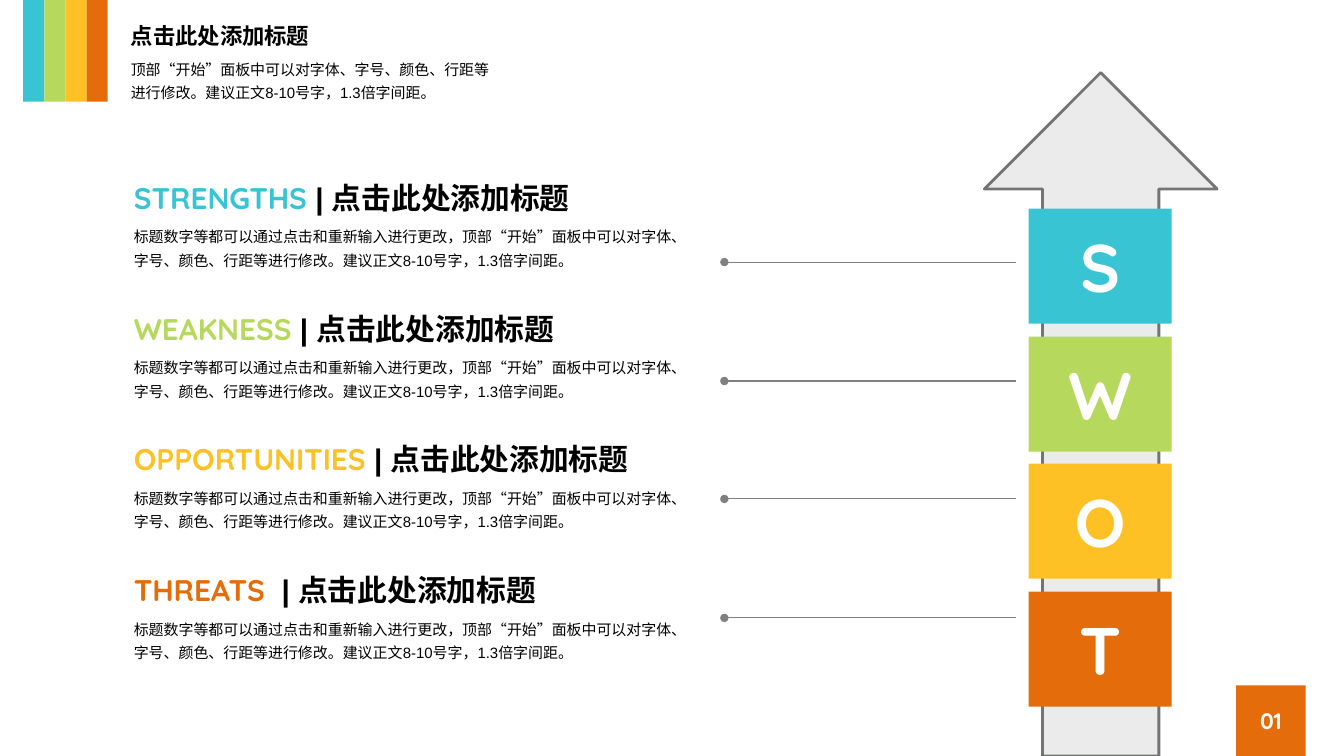
"""Build a SWOT slide with four described topics beside an upward arrow."""
from dataclasses import dataclass

from pptx import Presentation, dml, util as u
from pptx.dml import color as dml_color
from pptx.enum import shapes, text
from pptx.oxml import ns, xmlchemy as xml

PX = 9144
COLORS = {
    "teal": "38C4D2", "green": "B6D95D", "yellow": "FDC125", "orange": "E46C0A",
    "white": "FFFFFF", "black": "000000", "arrow": "EBEBEB", "outline": "737572",
    "rule": "808080",
}
HEADING = "点击此处添加标题"
ADVICE = "颜色、行距等进行修改。建议正文8-10号字，1.3倍字间距。"
INTRO = "顶部“开始”面板中可以对字体、字号、" + ADVICE
DETAIL = "标题数字等都可以通过点击和重新输入进行更改，" + INTRO


@dataclass(frozen=True)
class Box:
    left: int
    top: int
    width: int
    height: int

    def emu(self) -> list[u.Emu]:
        return [u.Emu(v * PX) for v in (self.left, self.top, self.width, self.height)]


@dataclass(frozen=True)
class Style:
    size: float
    color: str = "black"
    face: str = "Arial"
    bold: bool = False


@dataclass(frozen=True)
class Topic:
    letter: str
    name: str
    separator: str
    color: str


TOPICS = [
    Topic("S", "STRENGTHS ", "| ", "teal"),
    Topic("W", "WEAKNESS", " | ", "green"),
    Topic("O", "OPPORTUNITIES ", "| ", "yellow"),
    Topic("T", "THREATS ", " | ", "orange"),
]


def rgb(name: str) -> dml_color.RGBColor:
    return dml_color.RGBColor.from_string(COLORS[name])


def spread(first: int, last: int, index: int) -> int:
    return round(first + (last - first) * index / (len(TOPICS) - 1))


def set_font(font, style: Style) -> None:
    font.size = u.Pt(style.size)
    font.name = style.face
    font.bold = style.bold
    font.color.rgb = rgb(style.color)


def add_block(slide, box: Box, fill: str, wording: str = "", size: float = 16,
              kind=shapes.MSO_SHAPE.RECTANGLE):
    shape = slide.shapes.add_shape(kind, *box.emu())
    shape.shadow.inherit = False
    shape.fill.solid()
    shape.fill.fore_color.rgb = rgb(fill)
    shape.line.fill.background()
    if wording:
        shape.text_frame.vertical_anchor = text.MSO_ANCHOR.MIDDLE
        paragraph = shape.text_frame.paragraphs[0]
        paragraph.text = wording
        paragraph.alignment = text.PP_ALIGN.CENTER
        set_font(paragraph.font, Style(size, "white", "Quicksand", True))
    return shape


def add_text(slide, box: Box, wording: str, style: Style, spacing: float = 1.0):
    shape = slide.shapes.add_textbox(*box.emu())
    shape.text_frame.word_wrap = True
    paragraph = shape.text_frame.paragraphs[0]
    paragraph.text = wording
    paragraph.line_spacing = spacing
    set_font(paragraph.font, style)
    return paragraph


def add_heading(slide, box: Box, topic: Topic) -> None:
    style = Style(21.3, bold=True)
    paragraph = add_text(slide, box, "", style)
    name = paragraph.add_run()
    name.text = topic.name
    set_font(name.font, Style(21.3, topic.color, "Quicksand", True))
    title = paragraph.add_run()
    title.text = topic.separator + HEADING
    set_font(title.font, style)


def add_rule(slide, left: int, right: int, top: int) -> None:
    ends = [u.Emu(v * PX) for v in (left, top, right, top)]
    connector = slide.shapes.add_connector(shapes.MSO_CONNECTOR.STRAIGHT, *ends)
    connector.line.width = u.Pt(0.75)
    connector.line.color.rgb = rgb("rule")
    properties = connector._element.spPr
    head = xml.OxmlElement("a:headEnd")
    head.set("type", "oval")
    properties.find(ns.qn("a:ln")).append(head)
    properties.append(xml.OxmlElement("a:effectLst"))


def main() -> None:
    presentation = Presentation()
    presentation.slide_width = u.Emu(1334 * PX)
    presentation.slide_height = u.Emu(750 * PX)
    slide = presentation.slides.add_slide(presentation.slide_layouts[6])

    for index, topic in enumerate(TOPICS):
        add_block(slide, Box(23 + 21 * index, -2, 21, 103), topic.color)
    add_block(slide, Box(1227, 680, 69, 70), "orange", "01")
    add_text(slide, Box(120, 17, 228, 34), HEADING, Style(16, bold=True))
    add_text(slide, Box(120, 50, 378, 51), INTRO, Style(10.7), 1.3)

    arrow = add_block(slide, Box(977, 72, 231, 678), "arrow",
                      kind=shapes.MSO_SHAPE.UP_ARROW)
    arrow.line.color.rgb = rgb("outline")
    arrow.line.width = u.Pt(2)

    for index, topic in enumerate(TOPICS):
        tile_top = spread(207, 587, index)
        add_block(slide, Box(1021, tile_top, 142, 114), topic.color, topic.letter, 48)
        top = spread(173, 562, index)
        add_text(slide, Box(123, top + 43, 556, 57), DETAIL, Style(10.7), 1.3)
        add_heading(slide, Box(123, top, 522, 46), topic)
        add_rule(slide, 719, 1008, spread(260, 613, index))

    presentation.save("out.pptx")


if __name__ == "__main__":
    main()
